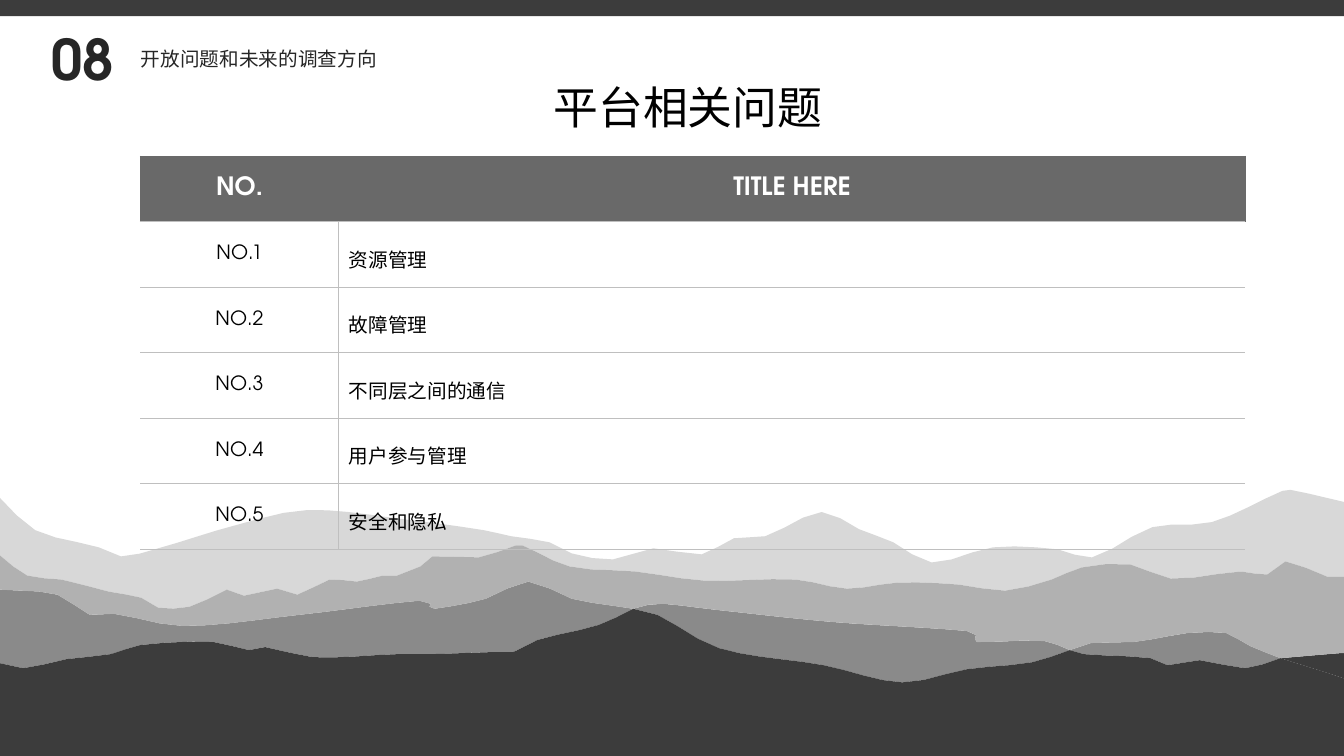
from dataclasses import dataclass
from itertools import chain
from math import ceil, dist

from lxml.etree import SubElement
from pptx import Presentation
from pptx.dml.color import RGBColor
from pptx.enum.shapes import MSO_SHAPE
from pptx.enum.text import MSO_ANCHOR, MSO_AUTO_SIZE, PP_ALIGN
from pptx.oxml.ns import qn
from pptx.util import Inches, Pt

UNIT = Inches(0.01)
COLS, ROWS = 1333, 750
STRIDE = 25


@dataclass(frozen=True)
class Theme:
    """Colours, fonts and type sizes of the slide."""
    dark: str = "3C3C3C"
    grey: str = "8A8A8A"
    mid: str = "B1B1B1"
    light: str = "D8D8D8"
    head: str = "696969"
    rule: str = "BFBFBF"
    ink: str = "262626"
    black: str = "000000"
    white: str = "FFFFFF"
    latin: str = "TeX Gyre Adventor"
    han: str = "Noto Sans CJK SC"
    huge: int = 40
    title: int = 32
    label: int = 18
    body: int = 14


THEME = Theme()
TOPICS = ["资源管理", "故障管理", "不同层之间的通信", "用户参与管理", "安全和隐私"]

FAR = [
    (0, 494), (35, 526), (98, 543), (120, 552), (157, 544),
    (234, 521), (305, 506), (407, 516), (480, 526), (507, 532), (545, 538),
    (567, 549), (608, 555), (648, 544), (696, 550), (728, 534), (759, 532),
    (815, 508), (852, 525), (886, 538), (924, 558), (985, 543), (1049, 545),
    (1083, 553), (1143, 523), (1202, 518), (1272, 487), (1280, 486),
    (1333, 498),
]
MIDDLE = [
    (0, 551), (27, 571), (61, 575), (108, 587), (140, 593),
    (157, 603), (188, 602), (205, 595), (225, 585), (242, 591), (275, 584),
    (295, 590), (327, 575), (354, 577), (380, 571), (394, 571), (417, 562),
    (429, 552), (475, 553), (512, 541), (518, 541), (565, 562), (630, 567),
    (698, 576), (789, 575), (840, 584), (891, 578), (951, 580), (997, 586),
    (1043, 575), (1073, 563), (1121, 560), (1161, 574), (1231, 567),
    (1257, 570), (1275, 557), (1316, 572), (1333, 572),
]
NEAR = [
    [(0, 585), (57, 590), (89, 610), (113, 609), (181, 621),
     (297, 610), (416, 596), (427, 599), (426, 602), (431, 604), (482, 594),
     (524, 577), (567, 594), (608, 601), (628, 604)],
    [(628, 604), (643, 600), (658, 599), (710, 605), (825, 617),
     (959, 626), (968, 630), (967, 634), (969, 637), (1036, 636),
     (1061, 645)],
    [(1061, 645), (1082, 638), (1124, 637), (1178, 628),
     (1199, 627), (1216, 628), (1240, 641), (1270, 653)],
    [(1270, 653), (1329, 648), (1333, 648)],
]
FRONT = [
    [(0, 658), (23, 663), (66, 654), (110, 649), (139, 640),
     (212, 637), (247, 645), (263, 642), (310, 652), (395, 649), (428, 649),
     (487, 647), (509, 647), (533, 635), (594, 620), (628, 604)],
    [(628, 604), (652, 610), (713, 643), (817, 660), (895, 677),
     (959, 664), (1024, 657), (1061, 645)],
    [(1061, 645), (1075, 649), (1141, 653), (1158, 660),
     (1190, 655), (1235, 663), (1270, 653)],
    [(1270, 653), (1321, 669), (1333, 673)],
]


def grid(*cells):
    """Turn grid counts into lengths."""
    return [round(cell * UNIT) for cell in cells]


def paint(shape, tint):
    """Fill a shape without line or shadow."""
    shape.shadow.inherit = False
    shape.fill.solid()
    shape.fill.fore_color.rgb = RGBColor.from_string(tint)
    shape.line.fill.background()


def smooth(knots):
    """Return points on a smooth curve through the knots."""
    ends = [knots[0], *knots, knots[-1]]
    curve = [knots[0]]
    for a, b, c, d in zip(ends, ends[1:], ends[2:], ends[3:]):
        span = dist(b, c)
        lead = span / (dist(a, b) + span) / 3
        trail = span / (span + dist(c, d)) / 3
        steps = ceil(span / STRIDE)
        for step in range(1, steps + 1):
            t = step / steps
            s = 1 - t
            curve.append(tuple(
                s**3 * q + 3 * s * s * t * (q + (r - p) * lead)
                + 3 * s * t * t * (r - (w - q) * trail) + t**3 * r
                for p, q, r, w in zip(a, b, c, d)))
    return curve


def band(slide, upper, lower, tint):
    """Draw the area between two edges."""
    start, *rest = [grid(*spot) for spot in upper + lower[::-1]]
    build = slide.shapes.build_freeform(*start, scale=1.0)
    build.add_line_segments(rest, close=True)
    paint(build.convert_to_shape(), tint)


def hills(slide):
    """Draw the mountain ranges from back to front."""
    far, middle = smooth(FAR), smooth(MIDDLE)
    near, front = [[smooth(part) for part in edge] for edge in (NEAR, FRONT)]
    tints = [THEME.grey] * 3 + [THEME.dark]
    band(slide, far, middle, THEME.light)
    for upper, lower, tint in zip(near, front, tints):
        band(slide, upper, lower, tint)
    band(slide, middle, list(chain(*near)), THEME.mid)
    band(slide, list(chain(*front)), [(0, ROWS), (COLS, ROWS)], THEME.dark)


def style(para, size, tint, face=THEME.latin, bold=False, space=None):
    """Set the type of a paragraph."""
    para.line_spacing = space
    font = para.font
    font.name, font.size, font.bold = face, Pt(size), bold
    font.color.rgb = RGBColor.from_string(tint)


def label(slide, text, place, size, tint, anchor=MSO_ANCHOR.TOP, **look):
    """Add a text box with one line."""
    frame = slide.shapes.add_textbox(*grid(*place)).text_frame
    frame.word_wrap = True
    frame.auto_size = MSO_AUTO_SIZE.NONE
    frame.vertical_anchor = anchor
    frame.text = text
    style(frame.paragraphs[0], size, tint, **look)


def edge(cell, side, tint, width):
    """Add a border to a cell, or an empty one without a tint."""
    line = SubElement(cell._tc.get_or_add_tcPr(), qn(f"a:ln{side}"),
                      w=str(Pt(width)))
    if tint:
        fill = SubElement(line, qn("a:solidFill"))
        SubElement(fill, qn("a:srgbClr"), val=tint)
    else:
        SubElement(line, qn("a:noFill"))


def entry(cell, text, head, first):
    """Write and style one table cell."""
    rule, tint = THEME.rule, THEME.head if head else None
    inner = None if head else rule
    sides = {
        "L": tint if first else inner,
        "R": inner if first else tint,
        "T": tint or rule,
        "B": rule,
    }
    for side, hue in sides.items():
        edge(cell, side, hue, 0.5 if hue == THEME.head else 1)
    cell.vertical_anchor = MSO_ANCHOR.MIDDLE
    cell.text = text
    para = cell.text_frame.paragraphs[0]
    if head:
        cell.fill.solid()
        cell.fill.fore_color.rgb = RGBColor.from_string(THEME.head)
        style(para, THEME.label, THEME.white, bold=True)
    else:
        cell.fill.background()
        style(para, THEME.body, THEME.black, space=None if first else 1.3)
    para.alignment = PP_ALIGN.CENTER if head or first else PP_ALIGN.LEFT


def listing(slide):
    """Add the table of topics."""
    rows = [("NO.", "TITLE HERE")]
    rows += [(f"NO.{n}", topic) for n, topic in enumerate(TOPICS, 1)]
    place = grid(139, 155, 1096, 65 * len(rows))
    table = slide.shapes.add_table(len(rows), 2, *place).table
    table.horz_banding = False
    for col, width in zip(table.columns, grid(197, 899)):
        col.width = width
    for y, row in enumerate(rows):
        for x, text in enumerate(row):
            entry(table.cell(y, x), text, y == 0, x == 0)


def main():
    """Build the slide and save it."""
    deck = Presentation()
    deck.slide_width, deck.slide_height = grid(COLS, ROWS)
    slide = deck.slides.add_slide(deck.slide_layouts[6])
    hills(slide)
    bar = slide.shapes.add_shape(MSO_SHAPE.RECTANGLE, *grid(0, 0, COLS, 16))
    paint(bar, THEME.dark)
    listing(slide)
    label(slide, "平台相关问题", (539, 58, 295, 80), THEME.title, THEME.black,
          face=THEME.han, space=1.3)
    label(slide, "08", (41, 27, 86, 64), THEME.huge, THEME.ink,
          bold=True, space=0.9)
    label(slide, "开放问题和未来的调查方向", (130, 40, 272, 40), THEME.body,
          THEME.ink, MSO_ANCHOR.MIDDLE, space=0.9)
    deck.save("out.pptx")


if __name__ == "__main__":
    main()
